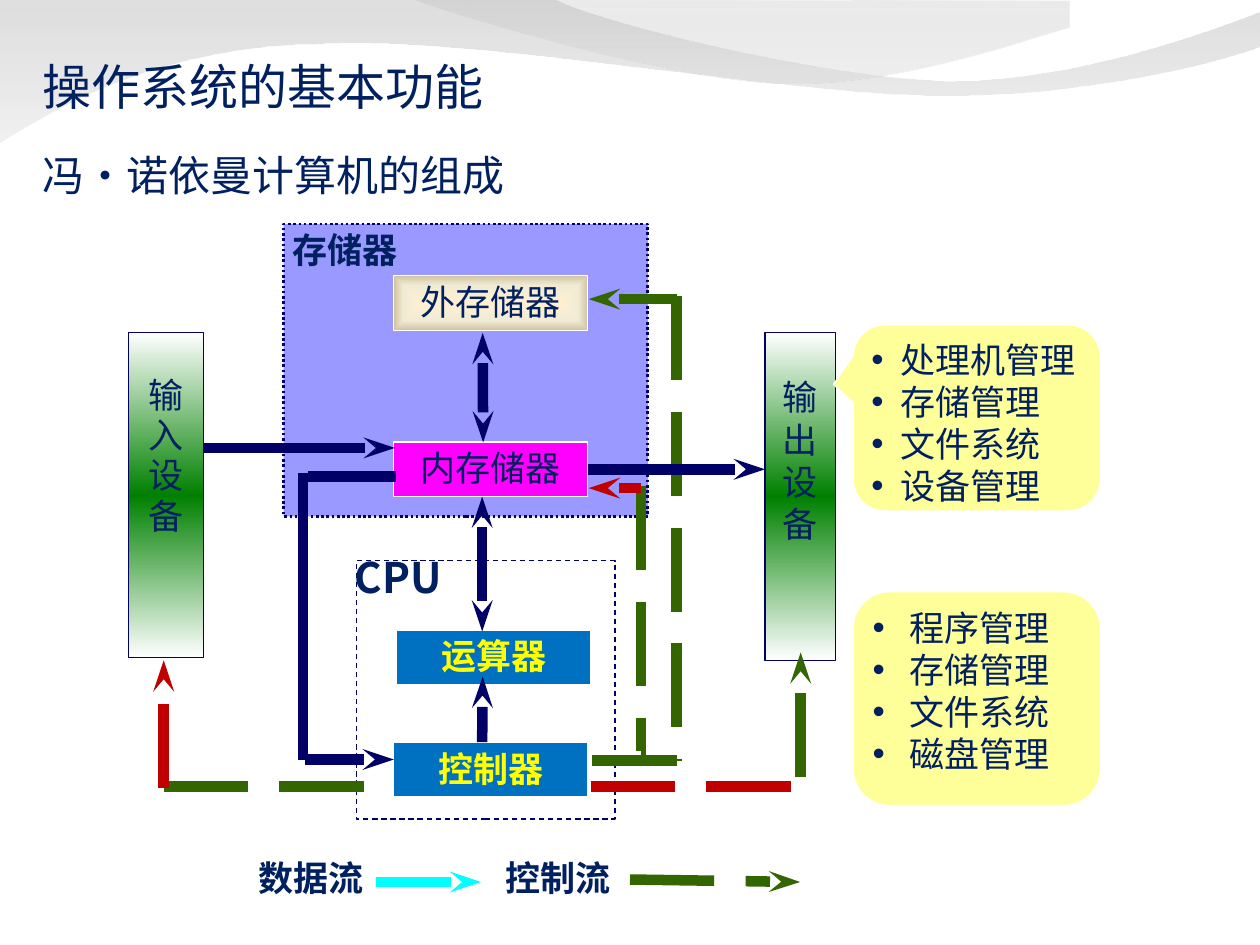
from dataclasses import dataclass
from typing import Optional

from lxml import etree
from pptx import Presentation
from pptx.dml.color import RGBColor
from pptx.enum.dml import MSO_LINE
from pptx.enum.shapes import MSO_CONNECTOR, MSO_SHAPE
from pptx.enum.text import MSO_ANCHOR, MSO_AUTO_SIZE, PP_ALIGN
from pptx.oxml.ns import qn
from pptx.util import Cm, Pt

NAVY = RGBColor(0x00, 0x20, 0x60)
BLUE = RGBColor(0x00, 0x00, 0x66)
LILAC = RGBColor(0x99, 0x99, 0xFF)
SKY = RGBColor(0x00, 0x70, 0xC0)
CYAN = RGBColor(0x00, 0xFF, 0xFF)
GREEN = RGBColor(0x33, 0x66, 0x00)
LEAF = RGBColor(0x00, 0x80, 0x00)
RED = RGBColor(0xC0, 0x00, 0x00)
PINK = RGBColor(0xFF, 0x00, 0xFF)
GOLD = RGBColor(0xFF, 0xFF, 0x00)
LEMON = RGBColor(0xFF, 0xFF, 0x99)
WHITE = RGBColor(0xFF, 0xFF, 0xFF)
# Gradient stops: position, colour, opacity
FADE = [(0, WHITE, 100), (50, LEAF, 100), (100, WHITE, 100)]
SAND = [(0, RGBColor(0xFF, 0xEF, 0xD1), 100), (65, RGBColor(0xF0, 0xEB, 0xD5), 100),
        (100, RGBColor(0xD1, 0xC3, 0x9F), 100)]
MIST = [(0, RGBColor(0xB7, 0xB7, 0xB7), 45), (100, RGBColor(0xE7, 0xE7, 0xE7), 55)]
HAZE = [(0, RGBColor(0xBD, 0xBD, 0xBD), 30), (80, RGBColor(0xDB, 0xDB, 0xDB), 45)]

SANS, SERIF = "Noto Sans CJK SC", "Times New Roman"
RECT, BUBBLE = MSO_SHAPE.RECTANGLE, MSO_SHAPE.ROUNDED_RECTANGULAR_CALLOUT
LEFT, MID, JUST = PP_ALIGN.LEFT, PP_ALIGN.CENTER, PP_ALIGN.JUSTIFY
TOP, CENTER, FIXED = MSO_ANCHOR.TOP, MSO_ANCHOR.MIDDLE, MSO_AUTO_SIZE.NONE
DASH, LONG, DOTS = MSO_LINE.DASH, MSO_LINE.LONG_DASH, MSO_LINE.ROUND_DOT
LINE = MSO_CONNECTOR.STRAIGHT


@dataclass
class Style:
    size: float = 20
    font: str = SERIF
    ink: RGBColor = NAVY
    bold: bool = False
    align: PP_ALIGN = MID
    space: float = 1.0
    pad: tuple = (0.18, 0.08)
    anchor: MSO_ANCHOR = TOP


@dataclass
class Box:
    at: tuple
    fill: object
    edge: RGBColor
    text: str = ""
    style: Optional[Style] = None
    width: float = 0.75
    dash: Optional[MSO_LINE] = None
    kind: MSO_SHAPE = RECT
    adjust: tuple = ()
    indent: float = 0


@dataclass
class Wire:
    start: tuple
    end: tuple
    ink: RGBColor
    dash: bool = False
    heads: tuple = ()


def blend(shape, stops: list, round_: bool = False) -> None:
    shape.fill.solid()
    old = shape.element.spPr.find(qn("a:solidFill"))
    grad = etree.Element(qn("a:gradFill"), rotWithShape="1")
    parts = etree.SubElement(grad, qn("a:gsLst"))
    for pos, ink, alpha in stops:
        stop = etree.SubElement(parts, qn("a:gs"), pos=str(pos * 1000))
        tone = etree.SubElement(stop, qn("a:srgbClr"), val=str(ink))
        if alpha < 100:
            etree.SubElement(tone, qn("a:alpha"), val=str(alpha * 1000))
    if round_:
        way = etree.SubElement(grad, qn("a:path"), path="shape")
        etree.SubElement(way, qn("a:fillToRect"), l="50000", t="50000", r="50000", b="50000")
    else:
        etree.SubElement(grad, qn("a:lin"), ang="5400000", scaled="0")
    old.getparent().replace(old, grad)


def write(shape, text: str, look: Style, indent: float = 0) -> None:
    frame = shape.text_frame
    frame.text = text
    frame.word_wrap, frame.auto_size = True, FIXED
    frame.vertical_anchor = look.anchor
    frame.margin_left = frame.margin_right = Cm(look.pad[0])
    frame.margin_top, frame.margin_bottom = Cm(look.pad[1]), Cm(0.03)
    for para in frame.paragraphs:
        para.alignment, para.line_spacing = look.align, look.space
        para.space_before = Pt(0)
        props = para._p.get_or_add_pPr()
        props.set("marL", str(Cm(indent)))
        props.set("indent", str(-Cm(indent)))
        if indent:
            etree.SubElement(props, qn("a:buFont"), typeface="Arial")
            etree.SubElement(props, qn("a:buChar"), char="•")
        else:
            etree.SubElement(props, qn("a:buNone"))
        for run in para.runs:
            font = run.font
            font.size, font.name, font.bold = Pt(look.size), look.font, look.bold
            font.color.rgb = look.ink
            east = etree.Element(qn("a:ea"), typeface=SANS)
            run._r.rPr.find(qn("a:latin")).addnext(east)


def place(shape, at: tuple) -> None:
    shape.left, shape.top, shape.width, shape.height = map(Cm, at)


def draw_box(shapes, box: Box) -> None:
    shape = shapes.add_shape(box.kind, *map(Cm, box.at))
    shape.shadow.inherit = False
    for i, value in enumerate(box.adjust):
        shape.adjustments[i] = value
    if isinstance(box.fill, list):
        blend(shape, box.fill, box.fill is SAND)
    else:
        shape.fill.solid()
        shape.fill.fore_color.rgb = box.fill
    shape.line.color.rgb, shape.line.width = box.edge, Pt(box.width)
    if box.dash:
        shape.line.dash_style = box.dash
    if box.style:
        write(shape, box.text, box.style, box.indent)


def draw_wire(shapes, wire: Wire) -> None:
    line = shapes.add_connector(LINE, *map(Cm, wire.start + wire.end))
    line.line.color.rgb, line.line.width = wire.ink, Pt(6)
    if wire.dash:
        line.line.dash_style = LONG
    props = line.element.spPr
    for head in wire.heads:
        etree.SubElement(props.find(qn("a:ln")), qn("a:" + head), type="stealth", w="sm", len="med")
    etree.SubElement(props, qn("a:effectLst"))


def draw_wave(shapes, layer: int, start: tuple, parts: list, stops: list) -> None:
    path = shapes.build_freeform(Cm(start[0]), Cm(start[1]))
    path.add_line_segments([(Cm(x), Cm(y)) for part in parts for x, y in part], close=True)
    wave = path.convert_to_shape()
    wave.shadow.inherit = False
    wave.line.fill.background()
    blend(wave, stops)
    # Turn each run of three segments into one curve
    steps = iter(list(wave.element.iter(qn("a:lnTo"))))
    for part in parts:
        group = [next(steps) for _ in part]
        if len(group) == 3:
            curve = etree.Element(qn("a:cubicBezTo"))
            group[0].addprevious(curve)
            for step in group:
                curve.append(step[0])
                step.getparent().remove(step)
    wave.element.getparent().insert(layer, wave.element)


deck = Presentation()
deck.slide_width, deck.slide_height = Cm(25.4), Cm(19.05)
slide = deck.slides.add_slide(deck.slide_layouts[1])
shapes = slide.shapes

# Background waves, behind all else
draw_wave(shapes, 2, (0, 0), [
    ((11.18, 0),), ((12.07, 0.46), (16.84, 1.63), (19.25, 1.63)),
    ((21.64, 1.63), (24.31, 0.66), (25.37, 0.25)), ((25.4, 0.94),),
    ((24.94, 1.14), (22.07, 1.96), (18.92, 1.93)), ((15.77, 1.93), (9.7, 0.74), (6.53, 0.89)),
    ((3.28, 0.91), (1.17, 2.13), (-0.03, 2.9))], MIST)
draw_wave(shapes, 3, (8.36, 0), [
    ((9.12, 0.3), (13.49, 1.6), (15.7, 1.68)), ((17.88, 1.78), (20.57, 0.84), (21.56, 0.56)),
    ((21.56, 0.03),)], HAZE)

# Title and heading
title, body = shapes.title, slide.placeholders[1]
place(title, (0.61, 0.51, 21.69, 2.44))
write(title, "操作系统的基本功能", Style(28, align=LEFT, pad=(0.25, 0.03), anchor=CENTER))
place(body, (0.62, 2.92, 13.23, 1.24))
write(body, "冯•诺依曼计算机的组成", Style(24, SANS, align=LEFT, pad=(0.23, 0.1)))

# Frames, devices and units
UNIT = Style(space=0.96, pad=(0.03, 0.15))
CORE = Style(ink=GOLD, bold=True, space=0.96, pad=(0.03, 0.15))
COL, WIDE, HIGH = 7.94, 3.91, 1.1
boxes = [
    Box((7.19, 11.3, 5.21, 5.21), WHITE, BLUE, dash=DASH),
    Box((5.72, 4.52, 7.34, 5.89), LILAC, BLUE, "存储器",
        Style(font=SANS, bold=True, align=JUST), 1.5, DOTS),
    Box((2.59, 6.71, 1.52, 6.55), FADE, BLUE, "输\n入\n设\n备", Style(space=0.96, pad=(0.03, 0.87))),
    Box((15.42, 6.71, 1.42, 6.6), FADE, BLUE, "输\n出\n设\n备", Style(pad=(0.03, 0.87))),
    Box((COL, 5.56, WIDE, HIGH), SAND, WHITE, "外存储器", UNIT),
    Box((COL, 8.91, WIDE, HIGH), PINK, WHITE, "内存储器", UNIT),
    Box((COL + 0.06, 12.7, WIDE, HIGH), SKY, WHITE, "运算器", CORE),
    Box((COL, 14.97, WIDE, HIGH), SKY, WHITE, "控制器", CORE),
]
for box in boxes:
    draw_box(shapes, box)

# Data flow, control flow and legend arrows
TIP, BOTH = ("tailEnd",), ("headEnd", "tailEnd")
wires = [
    Wire((7.57, 17.78), (9.7, 17.78), CYAN, False, TIP),
    Wire((12.7, 17.73), (16.13, 17.78), GREEN, True, TIP),
    Wire((13.64, 6.03), (11.87, 6.03), GREEN, True, TIP),
    Wire((3.3, 15.86), (7.87, 15.86), GREEN, True),
    Wire((13.64, 5.97), (13.64, 15.34), GREEN, True),
    Wire((11.86, 9.46), (15.42, 9.46), BLUE, False, TIP),
    Wire((9.72, 10.01), (9.72, 12.73), BLUE, False, BOTH),
    Wire((11.91, 15.86), (16.13, 15.86), RED, True),
    Wire((9.72, 14.96), (9.73, 13.64), BLUE, True, TIP),
    Wire((12.92, 9.8), (12.92, 15.21), GREEN, True),
    Wire((12.93, 9.84), (11.87, 9.84), RED, True, TIP),
    Wire((12.93, 15.24), (11.86, 15.24), WHITE, True),
    Wire((13.64, 15.33), (11.87, 15.33), GREEN, True),
    Wire((4.11, 9.03), (7.96, 9.03), BLUE, False, TIP),
    Wire((6.2, 9.61), (7.98, 9.61), BLUE),
    Wire((6.15, 15.31), (7.94, 15.31), BLUE, False, TIP),
    Wire((6.11, 9.53), (6.11, 15.32), BLUE),
    Wire((9.73, 6.71), (9.74, 8.92), BLUE, False, BOTH),
    Wire((3.3, 15.88), (3.3, 13.31), RED, True, TIP),
]
for wire in wires:
    draw_wire(shapes, wire)

# Function lists
LIST = Style(font=SANS, align=LEFT)
draw_box(shapes, Box((17.2, 6.55, 4.98, 3.75), LEMON, WHITE, "处理机管理\n存储管理\n文件系统\n设备管理", LIST,
                     kind=BUBBLE, adjust=(-0.58, -0.18, 0.17), indent=0.58))
draw_box(shapes, Box((17.2, 11.93, 4.98, 4.31), LEMON, WHITE, "程序管理\n存储管理\n文件系统\n磁盘管理", LIST,
                     kind=BUBBLE, adjust=(-0.2, -0.5, 0.17), indent=0.74))
draw_wire(shapes, Wire((16.14, 15.67), (16.14, 13.15), GREEN, True, TIP))

# Labels
KEY = Style(bold=True, align=JUST, space=0.96)
labels = [
    ((5.03, 17.25, 3.12, 1.45), "数据流", KEY),
    ((10.01, 17.25, 3.12, 1.45), "控制流", KEY),
    ((6.9, 11, 3.35, 1.27), "CPU", Style(24, SANS, bold=True, align=LEFT, pad=(0.25, 0.12))),
]
for at, text, look in labels:
    write(shapes.add_textbox(*map(Cm, at)), text, look)

deck.save("out.pptx")
